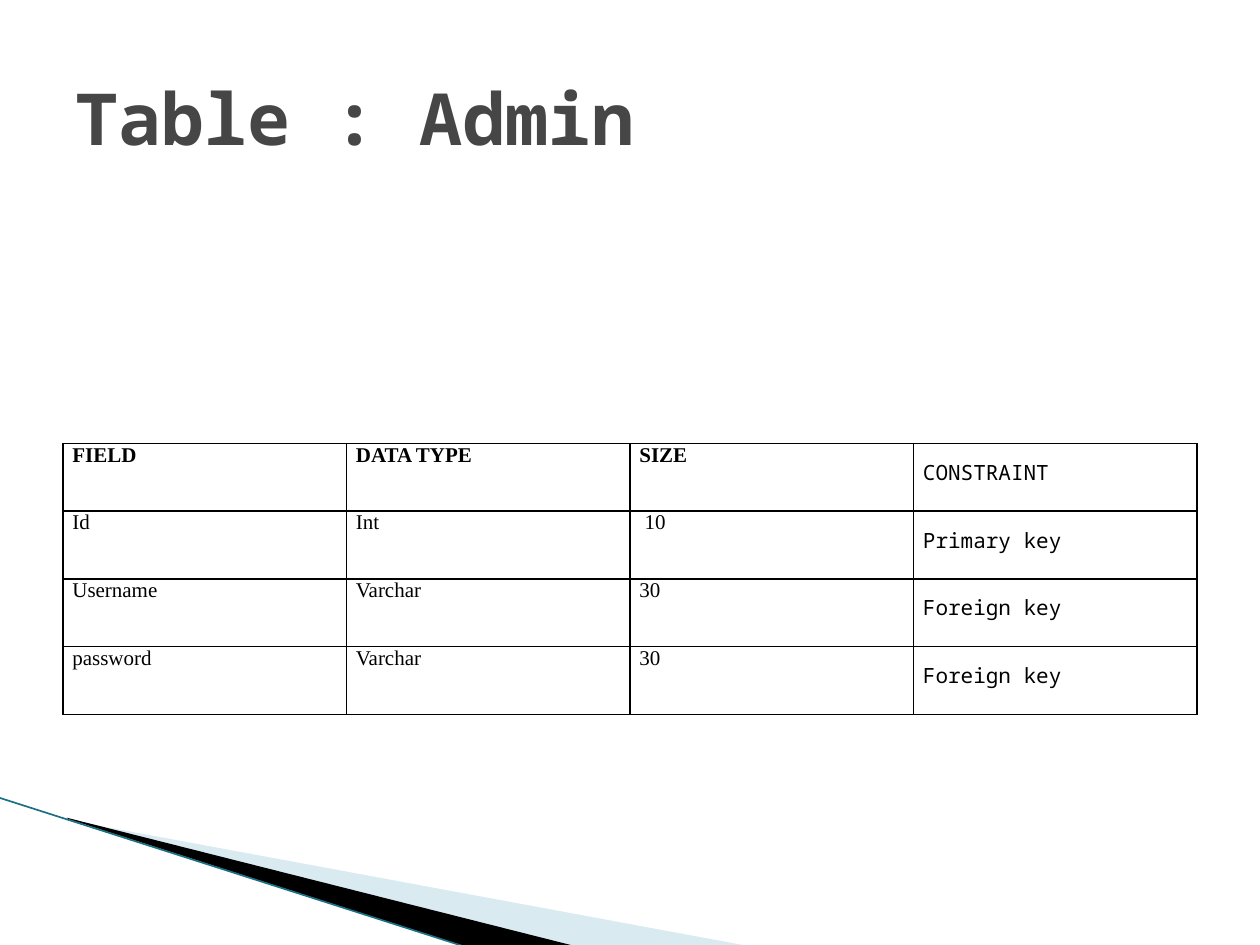
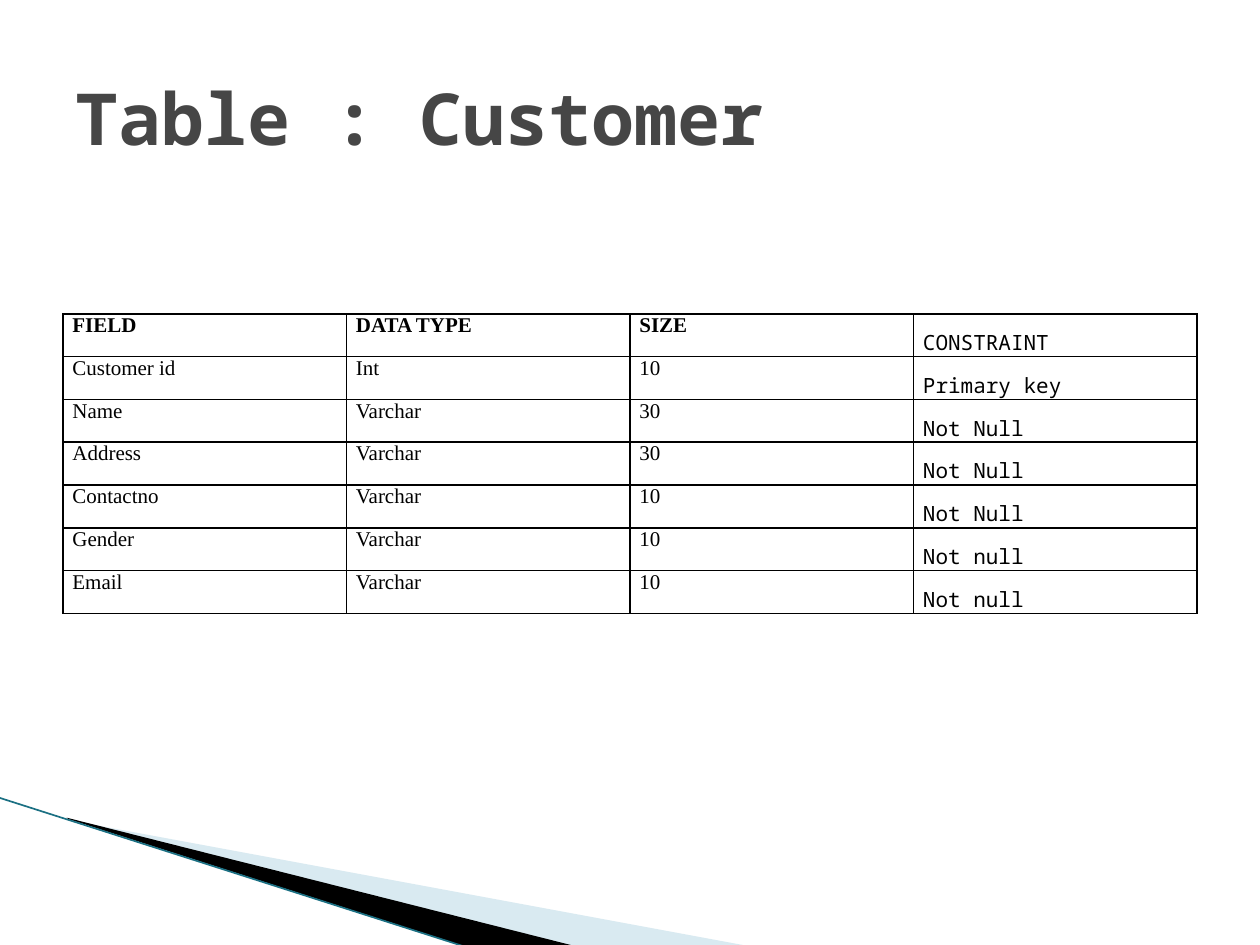
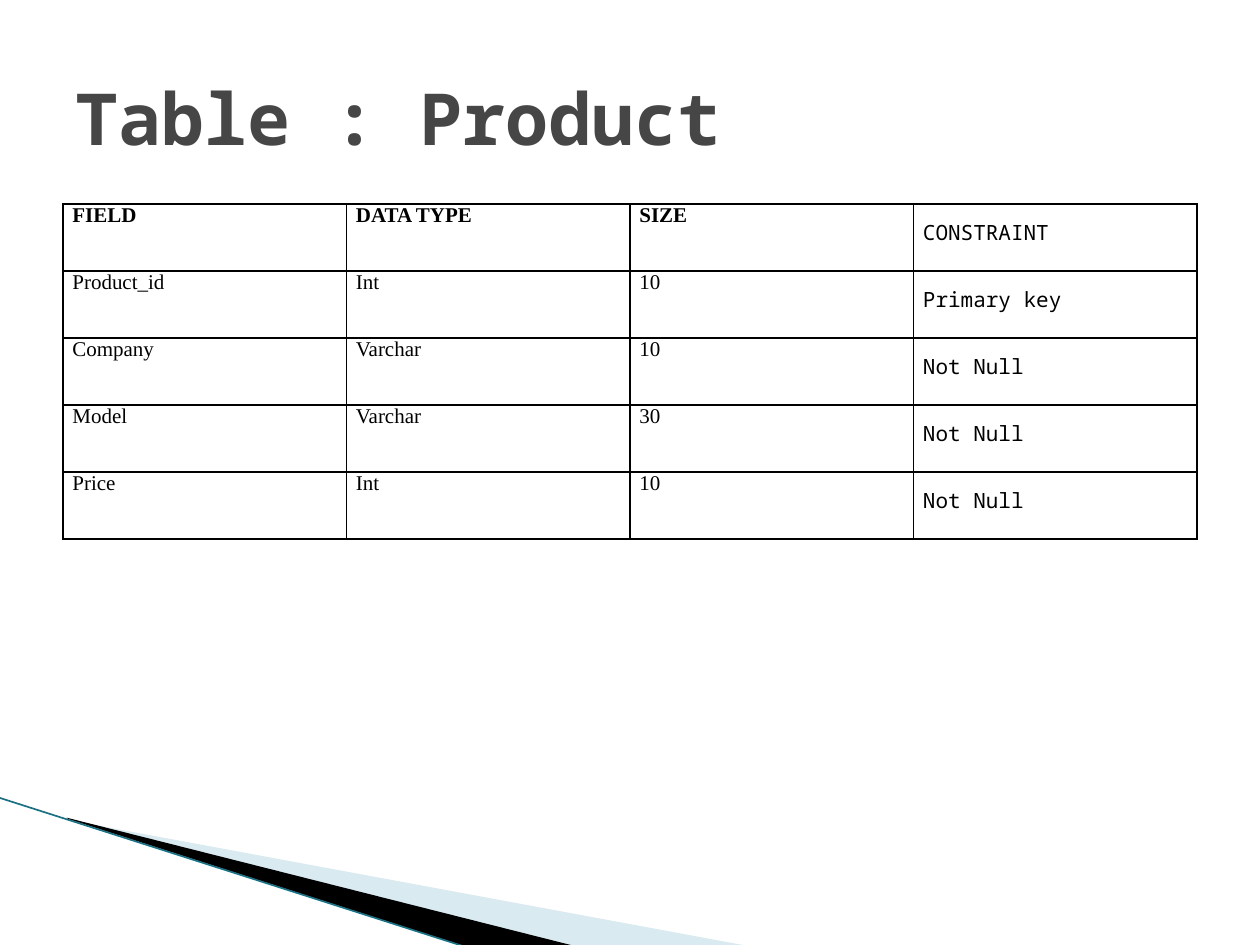
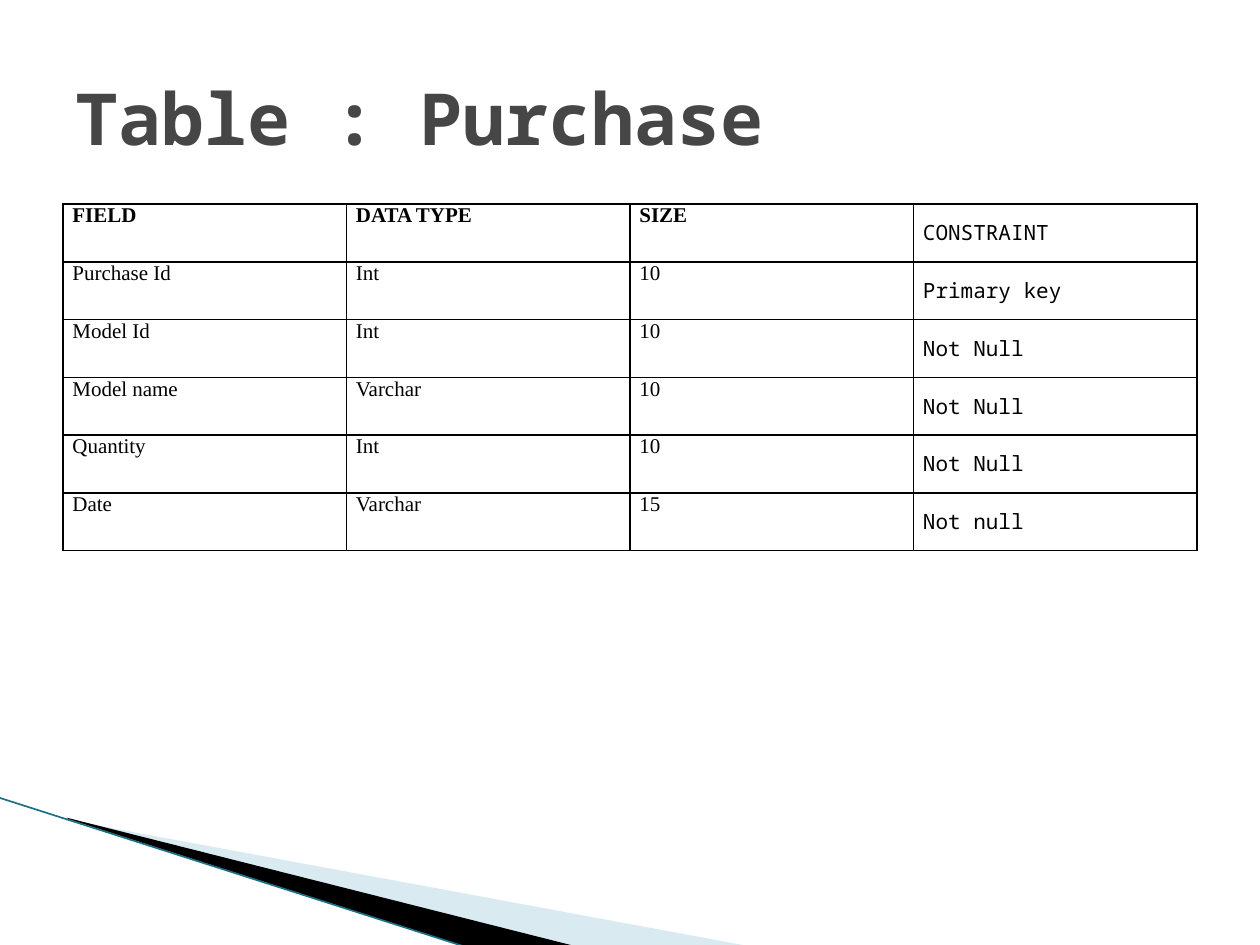
import pptx
import pptx.dml.color
import pptx.enum.shapes
import pptx.enum.text
import pptx.oxml
import pptx.oxml.ns
import pptx.util

Inches = pptx.util.Inches
Pt = pptx.util.Pt
qn = pptx.oxml.ns.qn

COLORS = {
    "title": "464646",
    "text": "000000",
    "border": "000000",
    "pale_band": "A0CBDC",
    "dark_band": "000000",
    "edge": "1B7083",
}
MONO = "Noto Sans Mono"
SERIF = "Times New Roman"
HEADER = ("FIELD", "DATA TYPE", "SIZE", "CONSTRAINT")

# Title, table top, table height, rows
TABLES = [
    ("Table : Admin", 3.52, 2.15, [
        ("Id", "Int", " 10", "Primary key"),
        ("Username", "Varchar", "30", "Foreign key"),
        ("password", "Varchar", "30", "Foreign key"),
    ]),
    ("Table : Customer", 2.49, 2.38, [
        ("Customer id", "Int", "10", "Primary key"),
        ("Name", "Varchar", "30", "Not Null"),
        ("Address", "Varchar", "30", "Not Null"),
        ("Contactno", "Varchar", "10", "Not Null"),
        ("Gender", "Varchar", "10", "Not null"),
        ("Email", "Varchar", "10", "Not null"),
    ]),
    ("Table : Product", 1.62, 2.66, [
        ("Product_id", "Int", "10", "Primary key"),
        ("Company", "Varchar", "10", "Not Null"),
        ("Model", "Varchar", "30", "Not Null"),
        ("Price", "Int", "10", "Not Null"),
    ]),
    ("Table : Purchase", 1.62, 2.75, [
        ("Purchase Id", "Int", "10", "Primary key"),
        ("Model Id", "Int", "10", "Not Null"),
        ("Model name", "Varchar", "10", "Not Null"),
        ("Quantity", "Int", "10", "Not Null"),
        ("Date", "Varchar", "15", "Not null"),
    ]),
]


def rgb(name):
    return pptx.dml.color.RGBColor.from_string(COLORS[name])


def write_text(frame, text, font=SERIF, size=12, color="text", bold=False, spacing=None):
    paragraph = frame.paragraphs[0]
    if spacing:
        paragraph.line_spacing = spacing
    run = paragraph.add_run()
    run.text = text
    run.font.name = font
    run.font.size = Pt(size)
    run.font.bold = bold
    run.font.color.rgb = rgb(color)


def set_borders(cell, width=1):
    properties = cell._tc.get_or_add_tcPr()
    for index, side in enumerate(("lnL", "lnR", "lnT", "lnB")):
        properties.insert(index, pptx.oxml.parse_xml(
            f'<a:{side} {pptx.oxml.ns.nsdecls("a")} w="{Pt(width)}"><a:solidFill>'
            f'<a:srgbClr val="{COLORS["border"]}"/></a:solidFill></a:{side}>'))


def set_frame(shape, left, top, width, height):
    """Give a freeform a new frame while its outline stays in place."""
    shift_x, shift_y = shape.left - Inches(left), shape.top - Inches(top)
    shape.left, shape.top = Inches(left), Inches(top)
    shape.width, shape.height = Inches(width), Inches(height)
    outline = shape._element.spPr.find(".//" + qn("a:path"))
    outline.set("w", str(shape.width))
    outline.set("h", str(shape.height))
    for point in outline.iter(qn("a:pt")):
        point.set("x", str(int(point.get("x")) + shift_x))
        point.set("y", str(int(point.get("y")) + shift_y))


class Deck:
    def __init__(self):
        self.presentation = pptx.Presentation()
        self.presentation.slide_width = Inches(10)
        self.presentation.slide_height = Inches(7.5)
        self.slide = None

    def add_slide(self):
        self.slide = self.presentation.slides.add_slide(self.presentation.slide_layouts[6])
        # Corner bands
        self.band([(0.55, 6.51), (5.95, 7.51), (4.56, 7.51), (0.55, 6.5)],
                  (0.78, 5.47, 4.16, 1.58), "pale_band", opacity=40)
        self.band([(0.53, 6.49), (4.57, 7.51), (3.72, 7.52), (0.54, 6.5)],
                  (-0.06, 6.33, 4.16, 0.92), "dark_band")
        self.line((-0.01, 6.33), (3.71, 7.52), "edge", 0.95)

    def band(self, points, frame, color, opacity=100):
        corners = [(Inches(x), Inches(y)) for x, y in points]
        builder = self.slide.shapes.build_freeform(*corners[0])
        builder.add_line_segments(corners[1:], close=True)
        shape = builder.convert_to_shape()
        set_frame(shape, *frame)
        shape.shadow.inherit = False
        shape.line.fill.background()
        shape.fill.solid()
        shape.fill.fore_color.rgb = rgb(color)
        if opacity < 100:
            color_element = shape._element.spPr.find(".//" + qn("a:srgbClr"))
            color_element.append(pptx.oxml.parse_xml(
                f'<a:alpha {pptx.oxml.ns.nsdecls("a")} val="{opacity * 1000}"/>'))

    def line(self, start, end, color, width):
        connector = self.slide.shapes.add_connector(
            pptx.enum.shapes.MSO_CONNECTOR.STRAIGHT,
            *[Inches(value) for value in start + end])
        connector.line.color.rgb = rgb(color)
        connector.line.width = Pt(width)
        connector._element.spPr.append(pptx.oxml.parse_xml(
            f'<a:effectLst {pptx.oxml.ns.nsdecls("a")}/>'))

    def title(self, text):
        box = self.slide.shapes.add_textbox(Inches(0.5), Inches(0.3), Inches(9), Inches(1.25))
        frame = box.text_frame
        frame.word_wrap = True
        frame.vertical_anchor = pptx.enum.text.MSO_ANCHOR.MIDDLE
        write_text(frame, text, font=MONO, size=41, color="title", bold=True)

    def table(self, top, height, rows):
        rows = [HEADER, *rows]
        table = self.slide.shapes.add_table(
            len(rows), len(HEADER), Inches(0.5), Inches(top), Inches(9), Inches(height)).table
        table.first_row = table.horz_banding = False
        for row_index, row in enumerate(rows):
            for column_index, text in enumerate(row):
                cell = table.cell(row_index, column_index)
                cell.margin_left = cell.margin_right = Pt(5.4)
                cell.margin_top = cell.margin_bottom = 0
                cell.fill.background()
                set_borders(cell)
                # The constraint column is monospaced with wider lines
                if column_index == len(HEADER) - 1:
                    write_text(cell.text_frame, text, font=MONO, spacing=1.5)
                else:
                    write_text(cell.text_frame, text, bold=row_index == 0)


def main():
    deck = Deck()
    for title, top, height, rows in TABLES:
        deck.add_slide()
        deck.title(title)
        deck.table(top, height, rows)
    deck.presentation.save("out.pptx")


if __name__ == "__main__":
    main()
